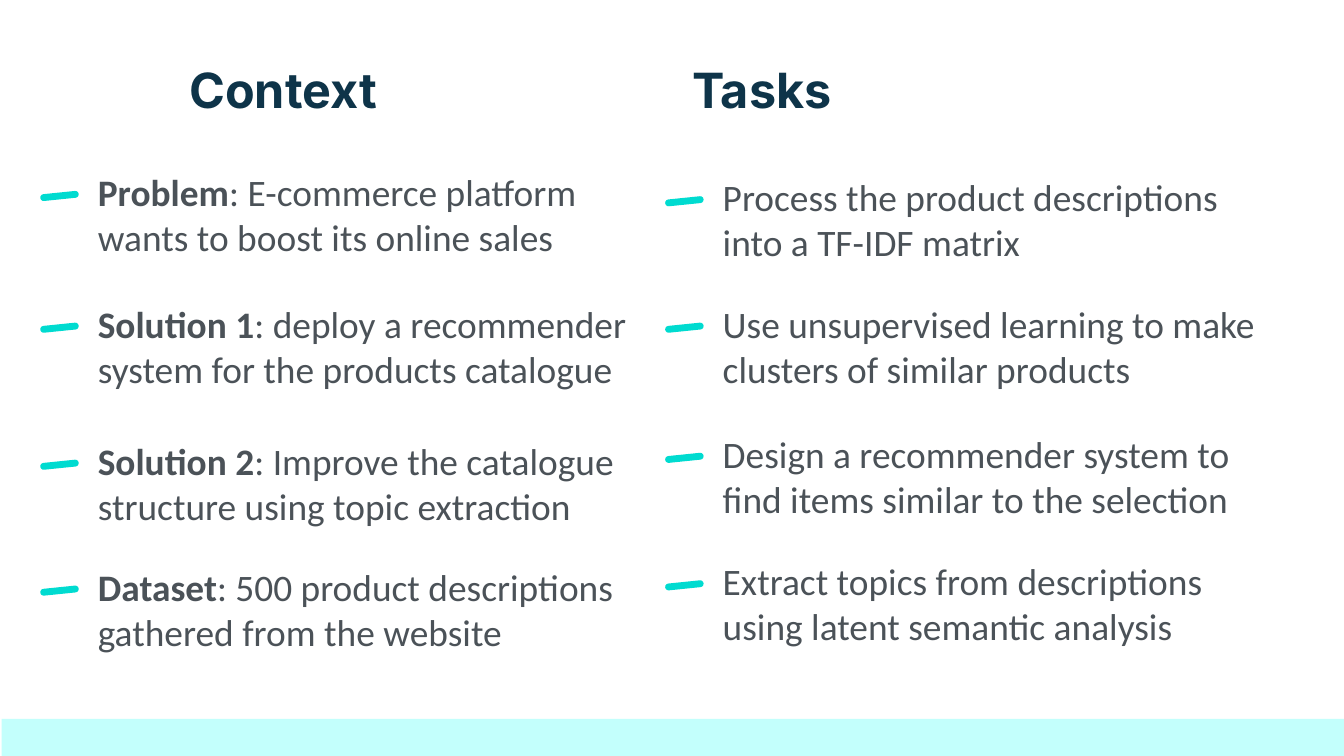
from pptx import Presentation
from pptx.dml.color import RGBColor
from pptx.enum.shapes import MSO_SHAPE
from pptx.enum.text import MSO_ANCHOR
from pptx.util import Cm, Pt

NAVY = RGBColor(0x0E, 0x34, 0x49)
GREY = RGBColor(0x4B, 0x52, 0x58)
TEAL = RGBColor(0x00, 0xDB, 0xD0)
PALE_AQUA = RGBColor(0xC3, 0xFF, 0xFC)

COLUMNS = [
    {"heading": "Context", "heading_left": 3.33, "dash_left": 0.76, "points": [
        (2.95, 9.8, 2.08, "Problem", ": E-commerce platform wants to boost its online sales"),
        (5.44, 10.8, 2.16, "Solution 1", ": deploy a recommender system for the products catalogue"),
        (8.03, 10.49, 2.21, "Solution 2", ": Improve the catalogue structure using topic extraction"),
        (10.41, 10.44, 2.41, "Dataset", ": 500 product descriptions gathered from the website"),
    ]},
    {"heading": "Tasks", "heading_left": 12.83, "dash_left": 12.57, "points": [
        (3.05, 10.44, 2.08, "", "Process the product descriptions into a TF-IDF matrix"),
        (5.44, 11.33, 2.16, "", "Use unsupervised learning to make clusters of similar products"),
        (7.9, 11.23, 2.11, "", "Design a recommender system to find items similar to the selection"),
        (10.31, 10.97, 2.18, "", "Extract topics from descriptions using latent semantic analysis"),
    ]},
]

HEADING_FORMAT = {"name": "Inter", "size": Pt(26), "bold": True}
POINT_FORMAT = {"name": "Calibri", "size": Pt(20)}
INSET = Cm(0.25)
FRAME_FORMAT = {
    "word_wrap": True, "vertical_anchor": MSO_ANCHOR.TOP,
    "margin_left": INSET, "margin_right": INSET,
    "margin_top": INSET, "margin_bottom": INSET,
}
TEXT_OFFSET = 0.84
DASH_DROP = 0.69


def apply_format(target, values):
    for attribute, value in values.items():
        setattr(target, attribute, value)


def add_text(slide, box, runs, font_format, color):
    frame = slide.shapes.add_textbox(*map(Cm, box)).text_frame
    apply_format(frame, FRAME_FORMAT)
    for words, bold in runs:
        run = frame.paragraphs[0].add_run()
        run.text = words
        apply_format(run.font, {**font_format, "bold": bold})
        run.font.color.rgb = color


def add_block(slide, preset, box, color):
    block = slide.shapes.add_shape(preset, *map(Cm, box))
    block.shadow.inherit = False
    block.fill.solid()
    block.fill.fore_color.rgb = color
    block.line.fill.background()
    return block


def add_point(slide, dash_left, point):
    top, width, height, label, words = point
    runs = [(label, True), (words, False)] if label else [(words, False)]
    add_text(slide, (dash_left + TEXT_OFFSET, top, width, height), runs, POINT_FORMAT, GREY)
    dash = add_block(slide, MSO_SHAPE.ROUNDED_RECTANGLE,
                     (dash_left, top + DASH_DROP, 0.73, 0.13), TEAL)
    dash.adjustments[0] = 0.5
    dash.rotation = 354.1


def main():
    deck = Presentation()
    apply_format(deck, {"slide_width": Cm(25.4), "slide_height": Cm(14.29)})
    slide = deck.slides.add_slide(deck.slide_layouts[6])
    add_block(slide, MSO_SHAPE.RECTANGLE, (0.03, 13.59, 25.4, 0.7), PALE_AQUA)
    for column in COLUMNS:
        add_text(slide, (column["heading_left"], 0.89, 5.08, 1.73),
                 [(column["heading"], True)], HEADING_FORMAT, NAVY)
        for point in column["points"]:
            add_point(slide, column["dash_left"], point)
    deck.save("out.pptx")


if __name__ == "__main__":
    main()
